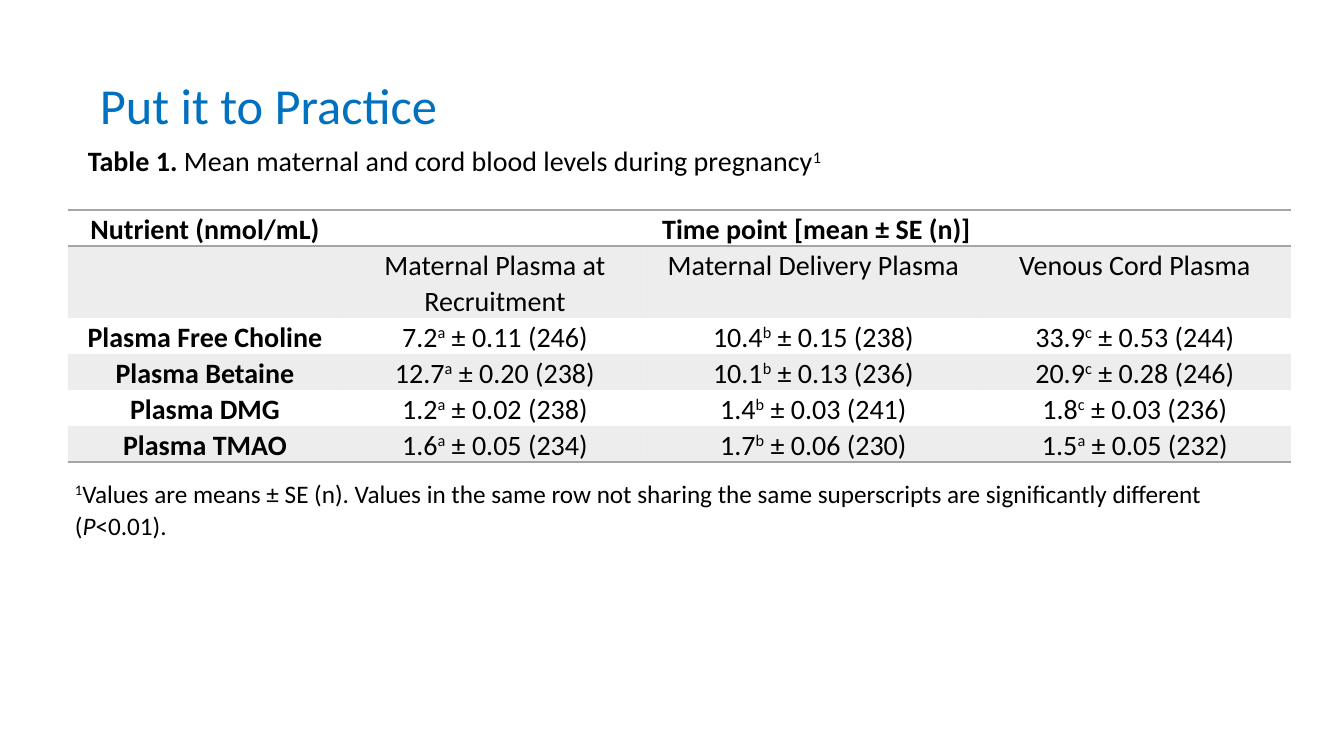
import pptx
import pptx.util
import pptx.dml.color
import pptx.enum.text
import pptx.oxml
import pptx.oxml.ns

SCALE = 914400 / 100.8
FONT = "Calibri"
COLORS = {"title": "0070C0", "text": "000000", "gray": "A5A5A5"}
PLAIN_STYLE = "{2D5ABB26-0587-4C30-8999-92F81FD0307C}"
ROW = 36
COLS = [274, 306, 331, 312]
POINTS = ["Maternal Plasma at Recruitment", "Maternal Delivery Plasma",
          "Venous Cord Plasma"]
LEVELS = [
    ("Plasma Free Choline", ["7.2 a 0.11 246", "10.4 b 0.15 238", "33.9 c 0.53 244"]),
    ("Plasma Betaine", ["12.7 a 0.20 238", "10.1 b 0.13 236", "20.9 c 0.28 246"]),
    ("Plasma DMG", ["1.2 a 0.02 238", "1.4 b 0.03 241", "1.8 c 0.03 236"]),
    ("Plasma TMAO", ["1.6 a 0.05 234", "1.7 b 0.06 230", "1.5 a 0.05 232"]),
]


def px(num):
    """Turn pixels into EMU."""
    return pptx.util.Emu(round(num * SCALE))


def rgb(name):
    """Look up a named colour."""
    return pptx.dml.color.RGBColor.from_string(COLORS[name])


def write(para, parts, size, color="text"):
    """Write (text, style) parts; style is bold, italic, super or empty."""
    for text, style in parts:
        run = para.add_run()
        run.text = text
        font = run.font
        font.name, font.size = FONT, pptx.util.Pt(size)
        font.color.rgb = rgb(color)
        font.bold = style == "bold"
        font.italic = style == "italic"
        if style == "super":
            font._element.set("baseline", "30000")


def label(slide, box, parts, size, color="text"):
    """Place a wrapped text box and return its paragraph."""
    frame = slide.shapes.add_textbox(*map(px, box)).text_frame
    frame.word_wrap = True
    para = frame.paragraphs[0]
    write(para, parts, size, color)
    return para


def rule(cell, side):
    """Draw a gray line on the top (T) or bottom (B) of a cell."""
    cell._tc.get_or_add_tcPr().append(pptx.oxml.parse_xml(
        f'<a:ln{side} {pptx.oxml.ns.nsdecls("a")} w="12700"><a:solidFill>'
        f'<a:srgbClr val="{COLORS["gray"]}"/></a:solidFill></a:ln{side}>'))


def shade(cell):
    """Fill a cell with see-through gray."""
    cell.fill.solid()
    cell.fill.fore_color.rgb = rgb("gray")
    tint = cell._tc.tcPr.find(".//" + pptx.oxml.ns.qn("a:solidFill") + "[last()]/"
                              + pptx.oxml.ns.qn("a:srgbClr"))
    for tint in cell._tc.tcPr.findall(pptx.oxml.ns.qn("a:solidFill") + "/*"):
        tint.append(pptx.oxml.parse_xml(
            f'<a:alpha {pptx.oxml.ns.nsdecls("a")} val="20000"/>'))


def level(code):
    """Split 'mean mark error count' into styled parts."""
    mean, mark, error, count = code.split()
    return [(mean, ""), (mark, "super"), (f" ± {error} ({count})", "")]


def grid(slide, left, top):
    """Place the table of nutrient levels."""
    rows = [[[("Nutrient (nmol/mL)", "bold")],
             [("Time point [mean ± SE (n)]", "bold")], [], []],
            [[]] + [[(point, "")] for point in POINTS]]
    rows += [[[(name, "bold")]] + [level(code) for code in codes]
             for name, codes in LEVELS]
    highs = [ROW, 2 * ROW] + [ROW] * len(LEVELS)
    table = slide.shapes.add_table(len(rows), len(COLS), px(left), px(top),
                                   px(sum(COLS)), px(sum(highs))).table
    table.first_row = table.horz_banding = False
    props = table._tbl.tblPr
    props.find(pptx.oxml.ns.qn("a:tableStyleId")).text = PLAIN_STYLE
    for col, wide in zip(table.columns, COLS):
        col.width = px(wide)
    for row, high in zip(table.rows, highs):
        row.height = px(high)
    table.cell(0, 1).merge(table.cell(0, 3))
    for r, row in enumerate(rows):
        for c, parts in enumerate(row):
            cell = table.cell(r, c)
            cell.margin_left = cell.margin_right = px(7)
            cell.margin_top = cell.margin_bottom = 0
            para = cell.text_frame.paragraphs[0]
            para.alignment = pptx.enum.text.PP_ALIGN.CENTER
            para.line_spacing = 1.07
            write(para, parts, 20)
            if r == 0:
                rule(cell, "T")
            if r in (0, len(rows) - 1):
                rule(cell, "B")
            if r % 2:
                shade(cell)
            else:
                cell.fill.background()


def note(slide, box):
    """Place the footnote under the table."""
    para = label(slide, box, [
        ("1", "super"),
        ("Values are means ± SE (n). Values in the same row not sharing the same "
         "superscripts are significantly different (", ""),
        ("P", "italic"), ("<0.01).", "")], 18)
    para.line_spacing = 1.07
    para.space_after = pptx.util.Pt(8)


def main():
    """Build and save the slide."""
    deck = pptx.Presentation()
    deck.slide_width, deck.slide_height = px(1344), px(756)
    slide = deck.slides.add_slide(deck.slide_layouts[6])
    label(slide, (90, 69, 671, 72), [("Put it to Practice", "")], 36, "title")
    grid(slide, 68, 210)
    label(slide, (78, 139, 776, 75), [
        ("Table 1.", "bold"),
        (" Mean maternal and cord blood levels during pregnancy", ""),
        ("1", "super")], 20)
    note(slide, (65, 471, 1208, 76))
    deck.save("out.pptx")


main()
